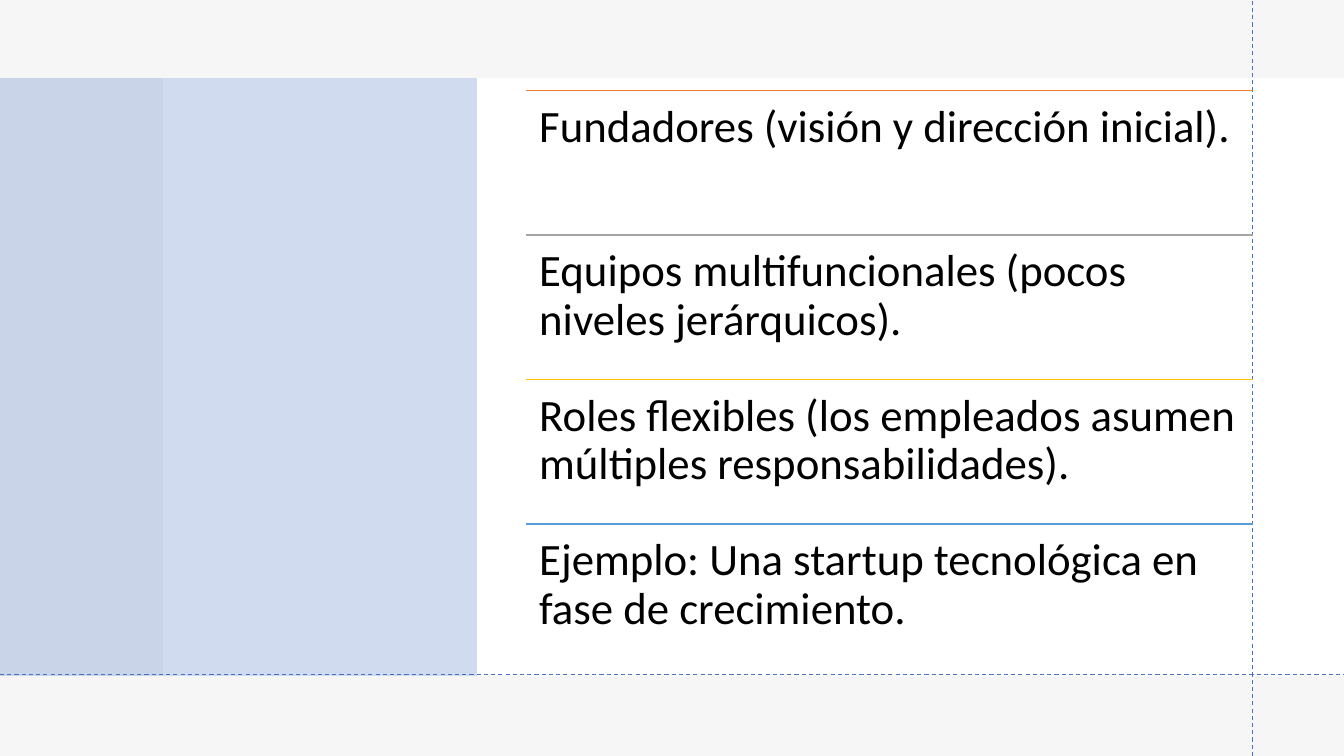
"""Build the slide on the structure of a startup."""
from lxml import etree
from pptx import Presentation
from pptx.dml.color import RGBColor
from pptx.enum.dml import MSO_LINE
from pptx.enum.shapes import MSO_CONNECTOR, MSO_SHAPE
from pptx.enum.text import MSO_ANCHOR, PP_ALIGN
from pptx.oxml.ns import qn
from pptx.util import Cm, Pt

WHITE = RGBColor(0xFF, 0xFF, 0xFF)
BLACK = RGBColor(0, 0, 0)
GREY = RGBColor(0xE7, 0xE6, 0xE6)
PALE = RGBColor(0xF6, 0xF6, 0xF6)
BLUE = RGBColor(0x44, 0x72, 0xC4)
ORANGE = RGBColor(0xED, 0x7D, 0x31)
SILVER = RGBColor(0xA5, 0xA5, 0xA5)
GOLD = RGBColor(0xFF, 0xC0, 0x00)
SKY = RGBColor(0x5B, 0x9B, 0xD5)

ITEMS = [
    ("Fundadores (visión y dirección inicial).", ORANGE),
    ("Equipos multifuncionales (pocos niveles jerárquicos).", SILVER),
    ("Roles flexibles (los empleados asumen múltiples responsabilidades).", GOLD),
    ("Ejemplo: Una startup tecnológica en fase de crecimiento.", SKY),
]

SLIDE_W, SLIDE_H = 33.87, 19.05
BAND_TOP, BAND_H = 1.97, 15.06
PANEL_LEFT, BLUE_W = 4.11, 12.02
LIST_LEFT, LIST_RIGHT, LIST_TOP, ROW_H = 13.26, 31.57, 2.28, 3.64
GUIDE_Y = 17
INSET = 0.33

PANELS = [
    (0, 0, SLIDE_W, SLIDE_H, WHITE, 100),
    (0, 0, SLIDE_W, SLIDE_H, GREY, 35),
    (PANEL_LEFT, BAND_TOP, SLIDE_W - PANEL_LEFT, BAND_H, WHITE, 100),
    (0, BAND_TOP, BLUE_W, BAND_H, BLUE, 25),
]
GUIDES = [
    (LIST_RIGHT, SLIDE_H, LIST_RIGHT, 0),
    (0, GUIDE_Y, SLIDE_W, GUIDE_Y),
]


def add_panel(shapes, left, top, width, height, color, opacity):
    sp = shapes.add_shape(MSO_SHAPE.RECTANGLE, Cm(left), Cm(top), Cm(width), Cm(height))
    sp.shadow.inherit = False
    sp.line.fill.background()
    sp.fill.solid()
    sp.fill.fore_color.rgb = color
    if opacity < 100:
        clr = sp._element.spPr.find(qn("a:solidFill"))[0]
        etree.SubElement(clr, qn("a:alpha")).set("val", str(opacity * 1000))


def add_line(shapes, x1, y1, x2, y2, color, width):
    line = shapes.add_connector(MSO_CONNECTOR.STRAIGHT, Cm(x1), Cm(y1), Cm(x2), Cm(y2))
    line.line.color.rgb = color
    line.line.width = Pt(width)
    etree.SubElement(line._element.spPr, qn("a:effectLst"))
    return line


def add_item(shapes, top, text):
    box = shapes.add_textbox(Cm(LIST_LEFT), Cm(top), Cm(LIST_RIGHT - LIST_LEFT), Cm(ROW_H))
    tf = box.text_frame
    tf.word_wrap = True
    tf.vertical_anchor = MSO_ANCHOR.TOP
    tf.margin_left = tf.margin_right = tf.margin_top = tf.margin_bottom = Cm(INSET)
    p = tf.paragraphs[0]
    p.text = text
    p.alignment = PP_ALIGN.LEFT
    p.line_spacing = 0.9
    p.font.name = "Calibri"
    p.font.size = Pt(32)
    p.font.color.rgb = BLACK


def main():
    prs = Presentation()
    prs.slide_width, prs.slide_height = Cm(SLIDE_W), Cm(SLIDE_H)
    slide = prs.slides.add_slide(prs.slide_layouts[6])
    slide.background.fill.solid()
    slide.background.fill.fore_color.rgb = PALE
    shapes = slide.shapes
    for panel in PANELS:
        add_panel(shapes, *panel)
    for guide in GUIDES:
        add_line(shapes, *guide, BLUE, 0.75).line.dash_style = MSO_LINE.DASH
    for i, (text, color) in enumerate(ITEMS):
        top = LIST_TOP + i * ROW_H
        add_line(shapes, LIST_LEFT, top, LIST_RIGHT, top, color, 1)
        add_item(shapes, top, text)
    prs.save("out.pptx")


if __name__ == "__main__":
    main()
